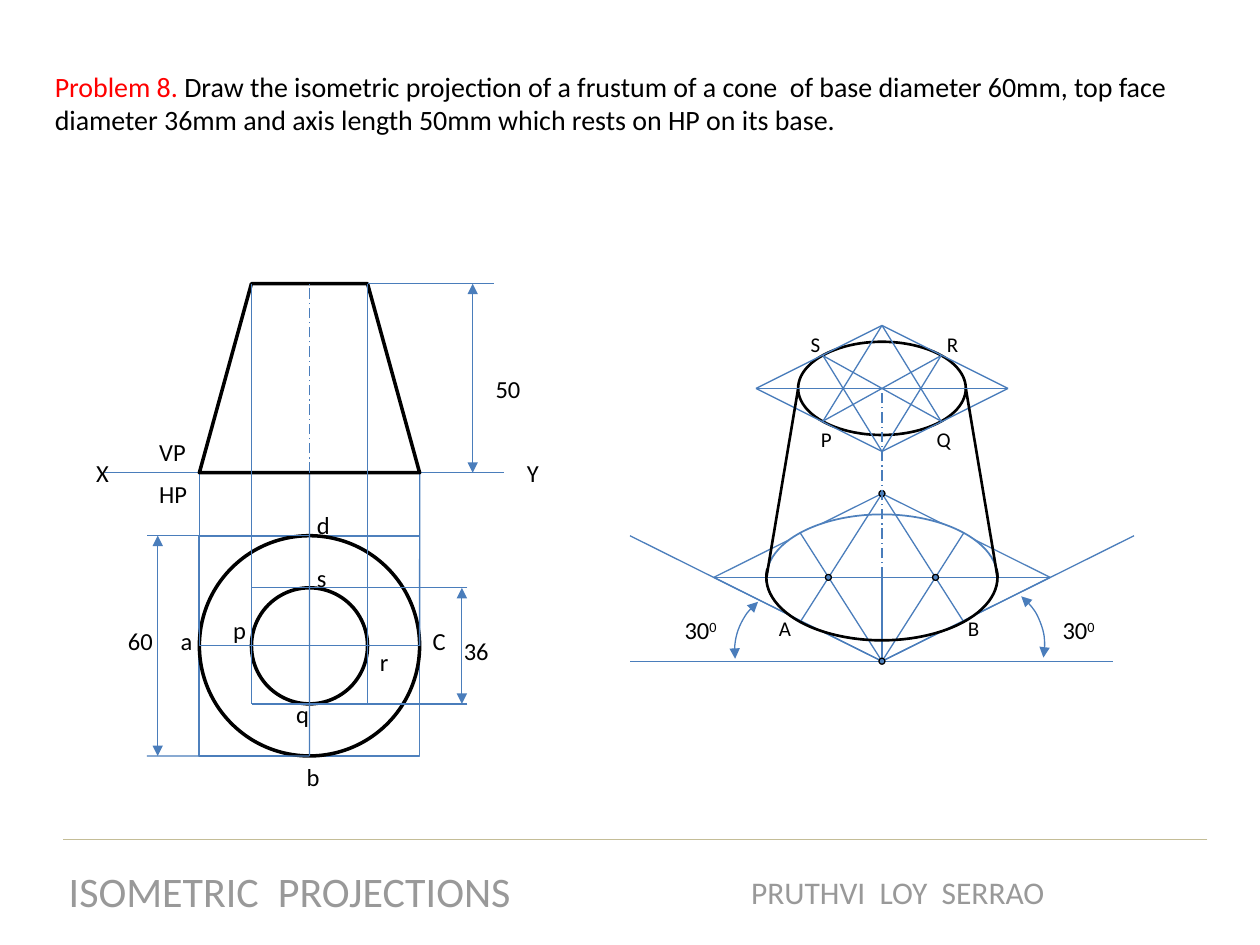
import pptx
import pptx.util
import pptx.dml.color
import pptx.enum.dml
import pptx.enum.shapes
import pptx.enum.text
import pptx.oxml
import pptx.oxml.ns

Cm = pptx.util.Cm
Pt = pptx.util.Pt
SHAPE = pptx.enum.shapes.MSO_SHAPE
ALIGN = pptx.enum.text.PP_ALIGN
BLUE, THIN_BLUE, BLACK, WHITE = "4F81BD", "4A7DBB", "000000", "FFFFFF"
TOP, LEFT, BOTTOM, RIGHT = range(4)


def rgb(color):
    return pptx.dml.color.RGBColor.from_string(color)


def write(tf, text, size=14, color=BLACK, align=ALIGN.LEFT, superscript=False):
    p = tf.paragraphs[0]
    p.alignment = align
    r = p.add_run()
    r.text = text
    r.font.name = "Calibri"
    r.font.size = Pt(size)
    r.font.color.rgb = rgb(color)
    if superscript:
        r.font._element.set("baseline", "30000")


def label(s, text, x, y, w=None, h=0.86, **style):
    w = w or 0.4 + 0.4 * len(text)
    tf = s.shapes.add_textbox(Cm(x), Cm(y), Cm(w), Cm(h)).text_frame
    tf.word_wrap = False
    write(tf, text, **style)
    return tf


def add_arrows(sp):
    for tag in ("a:headEnd", "a:tailEnd"):
        end = pptx.oxml.parse_xml(f'<{tag} {pptx.oxml.ns.nsdecls("a")} type="triangle"/>')
        sp.line._get_or_add_ln().append(end)


def outline(sp, color, width, dashed=False, arrows=False):
    sp.line.color.rgb = rgb(color)
    sp.line.width = Pt(width)
    if dashed:
        sp.line.dash_style = pptx.enum.dml.MSO_LINE.LONG_DASH_DOT
    if arrows:
        add_arrows(sp)


def line(s, start, end, color=THIN_BLUE, width=0.75, **style):
    ends = []
    for a, b in (start, end):
        ends += [0, 0] if hasattr(a, "shape_type") else [Cm(a), Cm(b)]
    sp = s.shapes.add_connector(pptx.enum.shapes.MSO_CONNECTOR.STRAIGHT, *ends)
    for (a, b), connect in ((start, sp.begin_connect), (end, sp.end_connect)):
        if hasattr(a, "shape_type"):
            connect(a, b)
    outline(sp, color, width, **style)
    sp._element.spPr.append(
        pptx.oxml.parse_xml(f'<a:effectLst {pptx.oxml.ns.nsdecls("a")}/>'))


def shape(s, kind, cx, cy, rx, ry, color=BLUE, width=1, fill=WHITE, **style):
    sp = s.shapes.add_shape(kind, Cm(cx - rx), Cm(cy - ry), Cm(2 * rx), Cm(2 * ry))
    sp.shadow.inherit = False
    if fill:
        sp.fill.solid()
        sp.fill.fore_color.rgb = rgb(fill)
    else:
        sp.fill.background()
    outline(sp, color, width, **style)
    return sp


def arc(s, cx, cy, rx, ry, start, end, rotation=0, **style):
    sp = shape(s, SHAPE.ARC, cx, cy, rx, ry, fill=None, **style)
    sp.adjustments[0] = start * 0.6
    sp.adjustments[1] = end * 0.6
    sp.rotation = rotation


def draw_views(s):
    cx, cy, outer, inner = 6.24, 13.02, 2.22, 1.17
    ground, top = 9.53, 5.72
    square = shape(s, SHAPE.RECTANGLE, cx, cy, outer, outer)
    line(s, (2.12, ground), (10.16, ground))
    for radius in (outer, inner):
        shape(s, SHAPE.OVAL, cx, cy, radius, radius, color=BLACK, width=2)
    line(s, (square, LEFT), (square, RIGHT))
    line(s, (cx, ground), (square, BOTTOM))
    line(s, (square, LEFT), (cx - outer, ground))
    line(s, (square, RIGHT), (cx + outer, ground))
    frustum = shape(s, SHAPE.TRAPEZOID, cx, (ground + top) / 2, outer,
                    (ground - top) / 2, color=BLACK, width=2)
    frustum.adjustments[0] = (outer - inner) / (ground - top)
    line(s, (cx, ground), (cx, top), dashed=True)
    for x in (cx - inner, cx + inner):
        line(s, (x, cy + inner), (x, top))
    for side in (TOP, BOTTOM):
        y = cy + (side - 1) * outer
        line(s, (square, side), (2.96, y))
    for y in (cy - inner, cy + inner):
        line(s, (9.42, y), (cx - inner, y))
    line(s, (cx + inner, top), (9.96, top))
    for x, y1, y2 in ((9.53, top, ground), (9.31, cy - inner, cy + inner),
                      (3.18, cy - outer, cy + outer)):
        line(s, (x, y1), (x, y2), arrows=True)


def draw_diagonals(s, cx, cy, half, dx, dy):
    for side in (-1, 1):
        x = cx + side * dx
        line(s, (x, cy - dy), (cx, cy + half))
        line(s, (x, cy + dy), (cx, cy - half))


def draw_isometric(s):
    cx, base, top = 17.78, 11.64, 7.83
    base_rx, base_ry, top_rx, top_ry = 2.33, 1.27, 1.69, 0.94
    ground = 13.33
    shape(s, SHAPE.OVAL, cx, top, top_rx, top_ry, color=BLACK, width=1.5)
    rhombus = shape(s, SHAPE.DIAMOND, cx, base, 3.39, 1.69, width=0.75)
    shape(s, SHAPE.OVAL, cx, base, base_rx, base_ry)
    line(s, (12.7, ground), (22.44, ground))
    for x in (12.7, 22.86):
        line(s, (rhombus, BOTTOM), (x, 10.8))
    arc(s, 19.79, 13.01, 1.27, 1.27, 270, 332.24, rotation=39,
        color=THIN_BLUE, width=0.75, arrows=True)
    arc(s, 16.08, 13.12, 1.27, 1.27, 262.79, 321.09, rotation=270,
        color=THIN_BLUE, width=0.75, arrows=True)
    line(s, (cx, base), (rhombus, BOTTOM))
    line(s, (rhombus, LEFT), (rhombus, RIGHT))
    draw_diagonals(s, cx, base, 1.69, 1.65, 0.9)
    for x, y in ((cx, base - 1.69), (cx, ground), (cx - 1.08, base), (cx + 1.08, base)):
        shape(s, SHAPE.OVAL, x, y, 0.06, 0.06, color=BLACK, width=0.75, fill=BLUE)
    line(s, (cx, base), (cx, top), dashed=True)
    for side in (-1, 1):
        corner = (cx + side * 2.54, top)
        line(s, (cx, top - 1.27), corner)
        line(s, corner, (cx, top + 1.27))
        line(s, (cx - 1.19, top + side * 0.66), (cx + 1.19, top - side * 0.66))
        line(s, (cx + side * base_rx, base), (cx + side * top_rx, top),
             color=BLACK, width=1.5)
    arc(s, cx, base, base_rx, base_ry, 355.76, 184.33, color=BLACK, width=1.5)
    draw_diagonals(s, cx, top, 1.27, 1.19, 0.66)
    line(s, (cx - 2.54, top), (cx + 2.54, top))


def add_labels(s):
    for text, x, y in (
            ("X", 1.69, 9.1), ("Y", 10.37, 9.1), ("VP", 2.96, 8.68), ("HP", 2.96, 9.53),
            ("50", 9.74, 7.41), ("36", 9.1, 12.7), ("60", 2.33, 12.49),
            ("a", 3.39, 12.49), ("b", 5.93, 15.24), ("C", 8.47, 12.49), ("d", 6.14, 10.16),
            ("p", 4.45, 12.28), ("q", 5.72, 13.97), ("r", 7.41, 12.91), ("s", 6.14, 11.22)):
        label(s, text, x, y)
    for text, x, y in (("A", 15.45, 12.28), ("B", 19.26, 12.28), ("P", 16.3, 8.47),
                       ("Q", 18.63, 8.47), ("R", 18.84, 6.56), ("S", 16.09, 6.56)):
        label(s, text, x, y, h=0.77, size=12)
    for x in (13.55, 21.17):
        write(label(s, "30", x, 12.28), "0", superscript=True)


def add_problem(s):
    sp = s.shapes.title
    sp.left, sp.top, sp.width, sp.height = Cm(0.85), Cm(1.27), Cm(23.92), Cm(1.62)
    tf = sp.text_frame
    tf.word_wrap = True
    tf.auto_size = pptx.enum.text.MSO_AUTO_SIZE.NONE
    tf.vertical_anchor = pptx.enum.text.MSO_ANCHOR.TOP
    write(tf, "Problem 8. ", size=16, color="FF0000")
    write(tf, "Draw the isometric projection of a frustum of a cone  of base diameter 60mm, "
              "top face diameter 36mm and axis length 50mm which rests on HP on its base.",
          size=16)


def add_footer(s):
    line(s, (24.34, 16.93), (1.27, 16.93), color="C4BD97")
    for text, x, y, w, h, size in (
            ("ISOMETRIC  PROJECTIONS", 1.09, 17.32, 9.5, 1.27, 24),
            ("PRUTHVI  LOY  SERRAO", 14.86, 17.48, 6.48, 1.02, 18)):
        label(s, text, x, y, w, h, size=size, color="999999", align=ALIGN.CENTER)


def main():
    prs = pptx.Presentation()
    prs.slide_width, prs.slide_height = Cm(25.4), Cm(19.05)
    s = prs.slides.add_slide(prs.slide_layouts[5])
    add_problem(s)
    draw_views(s)
    draw_isometric(s)
    add_labels(s)
    add_footer(s)
    prs.save("out.pptx")


if __name__ == "__main__":
    main()
